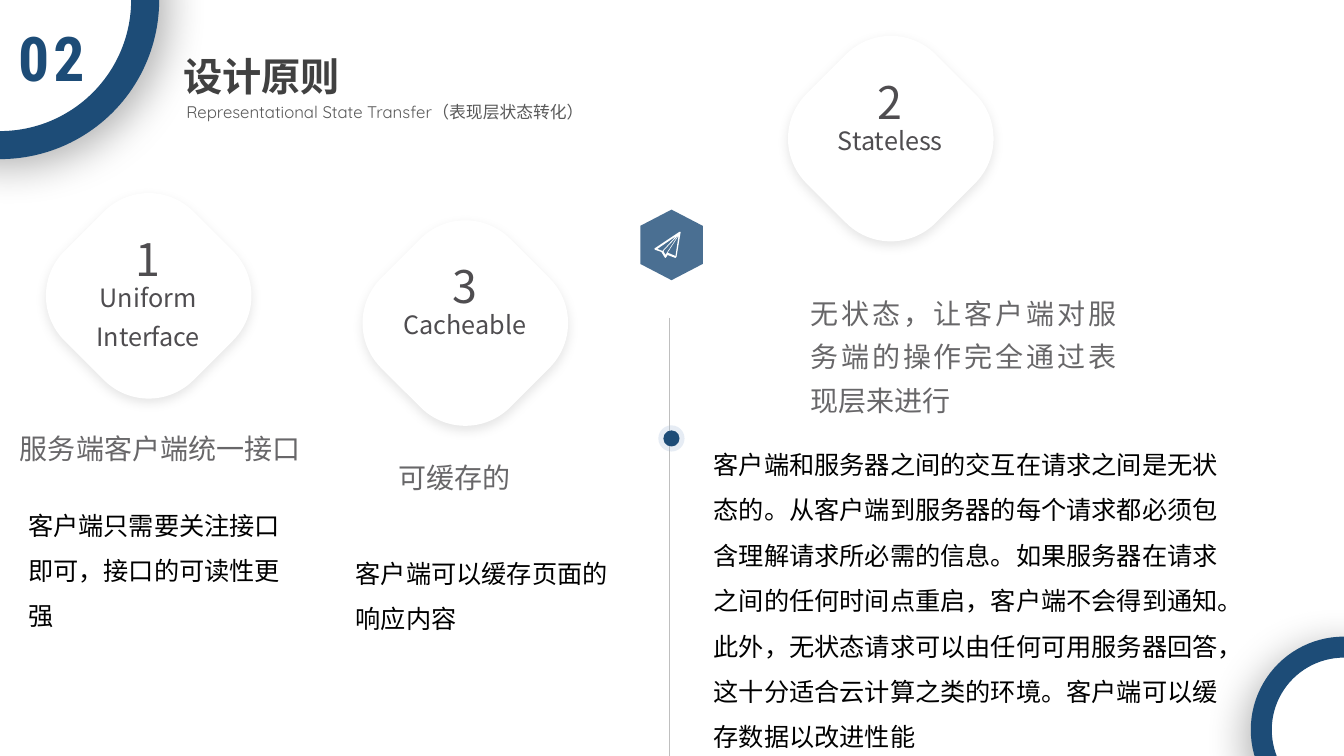
from lxml import etree
from pptx import Presentation
from pptx.dml.color import RGBColor
from pptx.enum.shapes import MSO_CONNECTOR, MSO_SHAPE
from pptx.enum.text import MSO_ANCHOR, MSO_AUTO_SIZE, PP_ALIGN
from pptx.oxml.ns import qn
from pptx.util import Inches, Pt

ELLIPSE, HEXAGON = MSO_SHAPE.OVAL, MSO_SHAPE.HEXAGON
ROUNDED = MSO_SHAPE.ROUNDED_RECTANGLE
STRAIGHT = MSO_CONNECTOR.STRAIGHT
LEFT, CENTER, JUSTIFY = PP_ALIGN.LEFT, PP_ALIGN.CENTER, PP_ALIGN.JUSTIFY
TOP = MSO_ANCHOR.TOP
GROW, FIXED = MSO_AUTO_SIZE.SHAPE_TO_FIT_TEXT, MSO_AUTO_SIZE.NONE

WHITE = RGBColor(0xFF, 0xFF, 0xFF)
BLACK = RGBColor(0x00, 0x00, 0x00)
NAVY = RGBColor(0x1D, 0x4C, 0x77)
HALO = RGBColor(0x9F, 0xB8, 0xD6)
RULE = RGBColor(0xBF, 0xBF, 0xBF)
TITLE = RGBColor(0x41, 0x41, 0x41)
SUBTITLE = RGBColor(0x59, 0x59, 0x59)
LABEL = RGBColor(0x4F, 0x4D, 0x50)
SUMMARY = RGBColor(0x68, 0x67, 0x69)
CJK = "Noto Sans CJK SC"

STYLES = {
    "section": {"font": {"size": Pt(44), "name": "Roboto Condensed", "bold": True},
                "color": NAVY, "align": CENTER},
    "title": {"font": {"size": Pt(28), "name": "Calibri", "bold": True}, "color": TITLE},
    "subtitle": {"font": {"size": Pt(12), "name": "Quicksand"}, "color": SUBTITLE},
    "number": {"font": {"size": Pt(32), "name": CJK}, "color": LABEL,
               "align": CENTER, "spacing": 1.3, "inset": False},
    "label": {"font": {"size": Pt(18), "name": CJK}, "color": LABEL,
              "align": CENTER, "spacing": 1.3, "inset": False},
    "summary": {"font": {"size": Pt(20), "name": CJK}, "color": SUMMARY,
                "align": JUSTIFY, "spacing": 1.3},
    "body": {"font": {"size": Pt(18), "name": "Calibri"}, "color": BLACK, "spacing": 1.5},
}

PLANE = [
    [(670, 254), (663, 251), (662, 251), (673, 234)],
    [(658, 249), (673, 233), (660, 253)],
    [(652, 247), (671, 234), (657, 249)],
    [(675, 230), (674, 230), (650, 246), (649, 247), (650, 248), (656, 250), (659, 255),
     (660, 256), (661, 255), (662, 253), (670, 256), (671, 255), (675, 231)],
]

PRINCIPLES = [
    {"number": "1", "label": "Uniform Interface", "diamond": (0.57, 2.03),
     "summary": ("服务端客户端统一接口", 0.1, 4.13, 3.23, 0.5),
     "body": ("客户端只需要关注接口即可，接口的可读性更强", 0.18, 4.86, 2.79, 1.41)},
    {"number": "2", "label": "Stateless", "diamond": (7.93, 0.47),
     "summary": ("无状态，让客户端对服务端的操作完全通过表现层来进行", 7.94, 2.79, 3.23, 1.37),
     "body": ("客户端和服务器之间的交互在请求之间是无状态的。从客户端到服务器的每个请求都必须"
              "包含理解请求所必需的信息。如果服务器在请求之间的任何时间点重启，客户端不会得到通知。"
              "此外，无状态请求可以由任何可用服务器回答，这十分适合云计算之类的环境。"
              "客户端可以缓存数据以改进性能", 6.98, 4.26, 5.39, 3.23)},
    {"number": "3", "label": "Cacheable", "diamond": (3.71, 2.3),
     "summary": ("可缓存的", 3.85, 4.42, 3.23, 0.5),
     "body": ("客户端可以缓存页面的响应内容", 3.43, 5.34, 2.79, 0.96)},
]


class PrinciplesPage:
    """Draws the elements of the design principles slide in one style."""

    def __init__(self, page, styles):
        self.page = page
        self.styles = styles

    def paint(self, shape, fill, line=None, weight=0, alpha=None):
        shape.shadow.inherit = False
        shape.fill.solid()
        shape.fill.fore_color.rgb = fill
        if line is None:
            shape.line.fill.background()
        else:
            shape.line.color.rgb = line
            shape.line.width = Pt(weight)
        if alpha is not None:
            color = shape._element.spPr.find(qn("a:solidFill")).find(qn("a:srgbClr"))
            etree.SubElement(color, qn("a:alpha"), val=str(alpha * 1000))

    def shape(self, kind, left, top, width, height, fill, rotation=0, adjust=None, **paint):
        shape = self.page.shapes.add_shape(
            kind, Inches(left), Inches(top), Inches(width), Inches(height))
        shape.rotation = rotation
        if adjust is not None:
            shape.adjustments[0] = adjust
        self.paint(shape, fill, **paint)
        return shape

    def shadow(self, shape, alpha, blur, distance, angle):
        effects = shape._element.spPr.find(qn("a:effectLst"))
        outer = etree.SubElement(
            effects, qn("a:outerShdw"), blurRad=str(Pt(blur)), dist=str(Pt(distance)),
            dir=str(angle * 60000), algn="ctr", rotWithShape="0")
        color = etree.SubElement(outer, qn("a:srgbClr"), val=str(BLACK))
        etree.SubElement(color, qn("a:alpha"), val=str(alpha * 1000))

    def line(self, x, top, bottom, color, weight):
        line = self.page.shapes.add_connector(
            STRAIGHT, Inches(x), Inches(top), Inches(x), Inches(bottom))
        line.line.color.rgb = color
        line.line.width = Pt(weight)
        etree.SubElement(line._element.spPr, qn("a:effectLst"))

    def icon(self, contours, fill):
        builder = self.page.shapes.build_freeform(*contours[0][0], scale=Inches(0.01))
        builder.add_line_segments(contours[0][1:], close=True)
        for contour in contours[1:]:
            builder.move_to(*contour[0])
            builder.add_line_segments(contour[1:], close=True)
        self.paint(builder.convert_to_shape(), fill)

    def text(self, style_name, words, left, top, width, height, wrap=True, tracking=None):
        style = self.styles[style_name]
        inset = style.get("inset", True)
        box = self.page.shapes.add_textbox(
            Inches(left), Inches(top), Inches(width), Inches(height))
        side, edge = (Inches(0.1), Inches(0.05)) if inset else (0, 0)
        frame = {"word_wrap": wrap, "vertical_anchor": TOP,
                 "auto_size": GROW if inset else FIXED,
                 "margin_left": side, "margin_right": side,
                 "margin_top": edge, "margin_bottom": edge}
        for name, value in frame.items():
            setattr(box.text_frame, name, value)
        para = box.text_frame.paragraphs[0]
        para.alignment = style.get("align", LEFT)
        para.line_spacing = style.get("spacing", 1.0)
        span = para.add_run()
        span.text = words
        for name, value in style["font"].items():
            setattr(span.font, name, value)
        span.font.color.rgb = style["color"]
        properties = span._r.get_or_add_rPr()
        etree.SubElement(properties, qn("a:ea"), typeface=CJK)
        if tracking is not None:
            properties.set("spc", str(tracking * 100))

    def ring(self, left, top, size, weight, angle):
        ring = self.shape(ELLIPSE, left, top, size, size, WHITE, line=NAVY, weight=weight)
        self.shadow(ring, 30, 30, 8, angle)

    def principle(self, number, label, diamond, summary, body):
        left, top = diamond
        tile = self.shape(ROUNDED, left, top, 1.81, 1.81, WHITE, rotation=45, adjust=0.347)
        self.shadow(tile, 10, 8, 3, 90)
        self.text("label", label, left + 0.14, top + 0.68, 1.52, 0.53)
        self.text("number", number, left + 0.57, top + 0.11, 0.66, 0.47)
        self.text("summary", *summary)
        self.text("body", *body)


def main():
    deck = Presentation()
    deck.slide_width, deck.slide_height = Inches(13.33), Inches(7.5)
    page = PrinciplesPage(deck.slides.add_slide(deck.slide_layouts[6]), STYLES)
    page.line(6.64, 3.15, 7.5, RULE, 0.5)
    page.shape(ELLIPSE, 6.53, 4.22, 0.26, 0.26, HALO, alpha=26)
    page.shape(ELLIPSE, 6.58, 4.27, 0.16, 0.16, NAVY)
    page.shape(HEXAGON, 6.31, 2.12, 0.7, 0.62, NAVY, rotation=90, adjust=0.26, alpha=80)
    page.icon(PLANE, WHITE)
    page.ring(-1.44, -1.44, 2.88, 20, 45)
    page.ring(12.51, 6.42, 1.64, 15, 125)
    page.text("section", "02", 0, 0.15, 1.02, 0.84, tracking=3)
    page.text("subtitle", "Representational State Transfer（表现层状态转化）",
              1.75, 0.96, 6.54, 0.3)
    page.text("title", "设计原则", 1.72, 0.47, 1.77, 0.57, wrap=False)
    for principle in PRINCIPLES:
        page.principle(**principle)
    deck.save("out.pptx")


if __name__ == "__main__":
    main()
